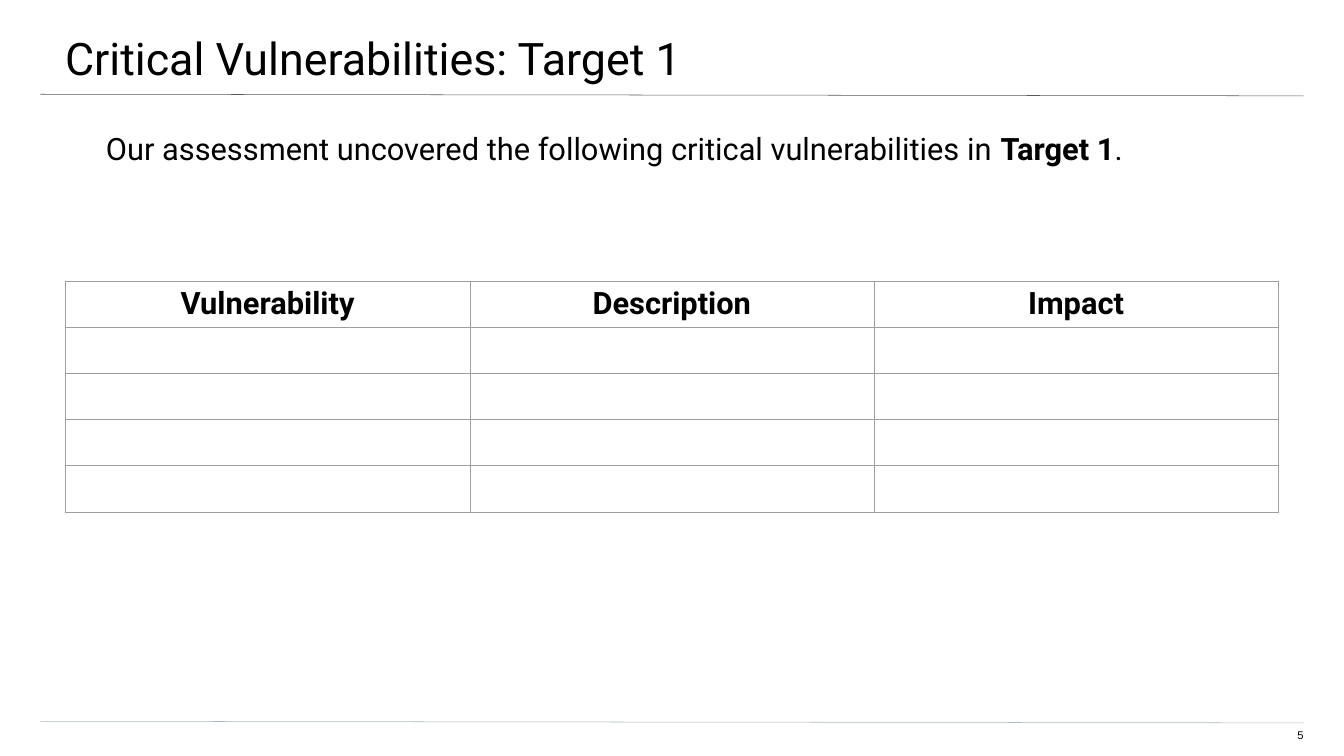
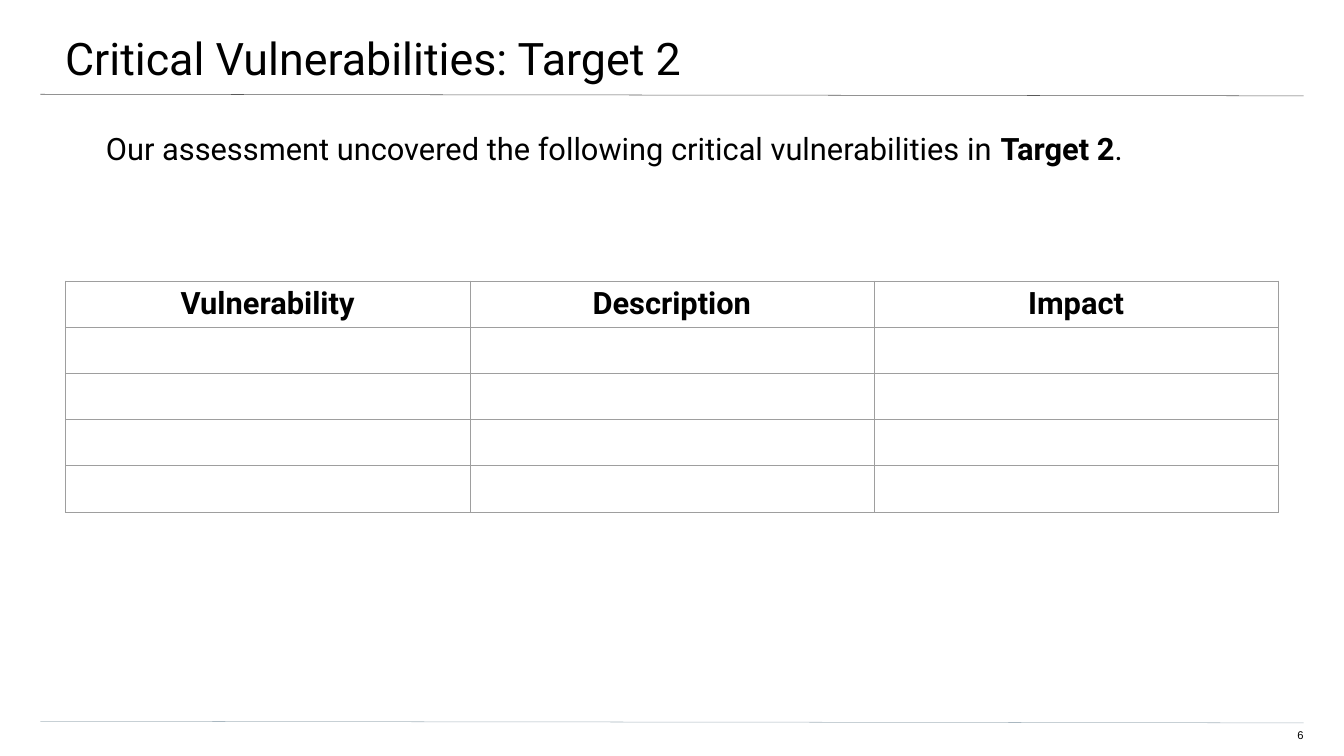
from lxml.etree import SubElement
from pptx import Presentation
from pptx.dml.color import RGBColor
from pptx.enum.shapes import MSO_CONNECTOR
from pptx.enum.text import MSO_ANCHOR, MSO_AUTO_SIZE, PP_ALIGN
from pptx.oxml.ns import qn
from pptx.util import Cm, Pt

COLORS = {
    "text": "000000",
    "title_rule": "595959",
    "footer_rule": "A9B7C0",
    "grid": "9E9E9E",
    "background": "FFFFFF",
}
FONT = "Roboto"
FOOTER_FONT = "Arial"
HEADERS = ["Vulnerability", "Description", "Impact"]
EMPTY_ROWS = 4
COLUMN_WIDTH = 20.37
ROW_HEIGHT = 2.33
FIRST_PAGE = 5
TARGETS = ["Target 1", "Target 2"]


def rgb(name):
    return RGBColor.from_string(COLORS[name])


def format_paragraph(p, size, align=PP_ALIGN.LEFT, font=FONT, bold=None):
    p.alignment = align
    p.font.name = font
    p.font.size = Pt(size)
    p.font.bold = bold
    p.font.color.rgb = rgb("text")


def set_frame(tf, left, top, right, bottom):
    """Set the insets in cm and keep the text wrapped at the top."""
    tf.margin_left, tf.margin_top = Cm(left), Cm(top)
    tf.margin_right, tf.margin_bottom = Cm(right), Cm(bottom)
    tf.word_wrap = True
    tf.auto_size = MSO_AUTO_SIZE.NONE
    tf.vertical_anchor = MSO_ANCHOR.TOP


def add_rule(s, y, color):
    """Draw a thin, very slightly falling line across the slide."""
    line = s.shapes.add_connector(
        MSO_CONNECTOR.STRAIGHT, Cm(2.03), Cm(y), Cm(65.68), Cm(y + 0.08))
    line.line.color.rgb = rgb(color)
    line.line.width = Pt(0.75)
    SubElement(line._element.spPr, qn("a:effectLst"))


def add_title(s, text):
    title = s.shapes.title
    title.left, title.top = Cm(-0.1), Cm(0)
    title.width, title.height = Cm(67.9), Cm(3.96)
    tf = title.text_frame
    set_frame(tf, 3.38, 1.35, 2.03, 0.68)
    tf.text = text
    p = tf.paragraphs[0]
    p.line_spacing = 1.07
    format_paragraph(p, 64)


def add_page_number(s, number):
    box = s.shapes.add_textbox(Cm(63.75), Cm(36.73), Cm(1.93), Cm(0.79))
    tf = box.text_frame
    set_frame(tf, 0, 0, 0, 0.68)
    tf.text = str(number)
    format_paragraph(tf.paragraphs[0], 16, PP_ALIGN.RIGHT, FOOTER_FONT)


def add_intro(s, target):
    box = s.shapes.add_textbox(Cm(1.96), Cm(6.38), Cm(63.73), Cm(27.41))
    tf = box.text_frame
    set_frame(tf, 3.38, 0, 3.38, 6.78)
    p = tf.paragraphs[0]
    p.line_spacing = 1.08
    format_paragraph(p, 44)
    p.add_run().text = "Our assessment uncovered the following critical vulnerabilities in "
    r = p.add_run()
    r.text = target
    r.font.bold = True
    p.add_run().text = "."


def set_borders(cell):
    tcPr = cell._tc.get_or_add_tcPr()
    for i, side in enumerate(("lnL", "lnR", "lnT", "lnB")):
        ln = tcPr.makeelement(qn(f"a:{side}"), {"w": str(Pt(0.75))})
        fill = SubElement(ln, qn("a:solidFill"))
        SubElement(fill, qn("a:srgbClr"), val=COLORS["grid"])
        tcPr.insert(i, ln)


def add_findings_table(s):
    rows, cols = EMPTY_ROWS + 1, len(HEADERS)
    table = s.shapes.add_table(
        rows, cols, Cm(3.3), Cm(14.15),
        Cm(COLUMN_WIDTH * cols), Cm(ROW_HEIGHT * rows)).table
    table.first_row = table.horz_banding = False
    for column in table.columns:
        column.width = Cm(COLUMN_WIDTH)
    for row in table.rows:
        row.height = Cm(ROW_HEIGHT)
    for cell in table.iter_cells():
        cell.margin_left = cell.margin_right = Cm(0.25)
        cell.margin_top = cell.margin_bottom = Cm(0.25)
        cell.fill.background()
        set_borders(cell)
    for cell, header in zip(table.rows[0].cells, HEADERS):
        cell.text = header
        format_paragraph(cell.text_frame.paragraphs[0], 44, PP_ALIGN.CENTER, bold=True)


def add_target_slide(prs, target, number):
    s = prs.slides.add_slide(prs.slide_layouts[5])
    s.background.fill.solid()
    s.background.fill.fore_color.rgb = rgb("background")
    add_rule(s, 4.75, "title_rule")
    add_rule(s, 36.35, "footer_rule")
    add_title(s, f"Critical Vulnerabilities: {target}")
    add_page_number(s, number)
    add_intro(s, target)
    add_findings_table(s)


def main():
    prs = Presentation()
    prs.slide_width, prs.slide_height = Cm(67.72), Cm(38.1)
    for number, target in enumerate(TARGETS, FIRST_PAGE):
        add_target_slide(prs, target, number)
    prs.save("out.pptx")


if __name__ == "__main__":
    main()
